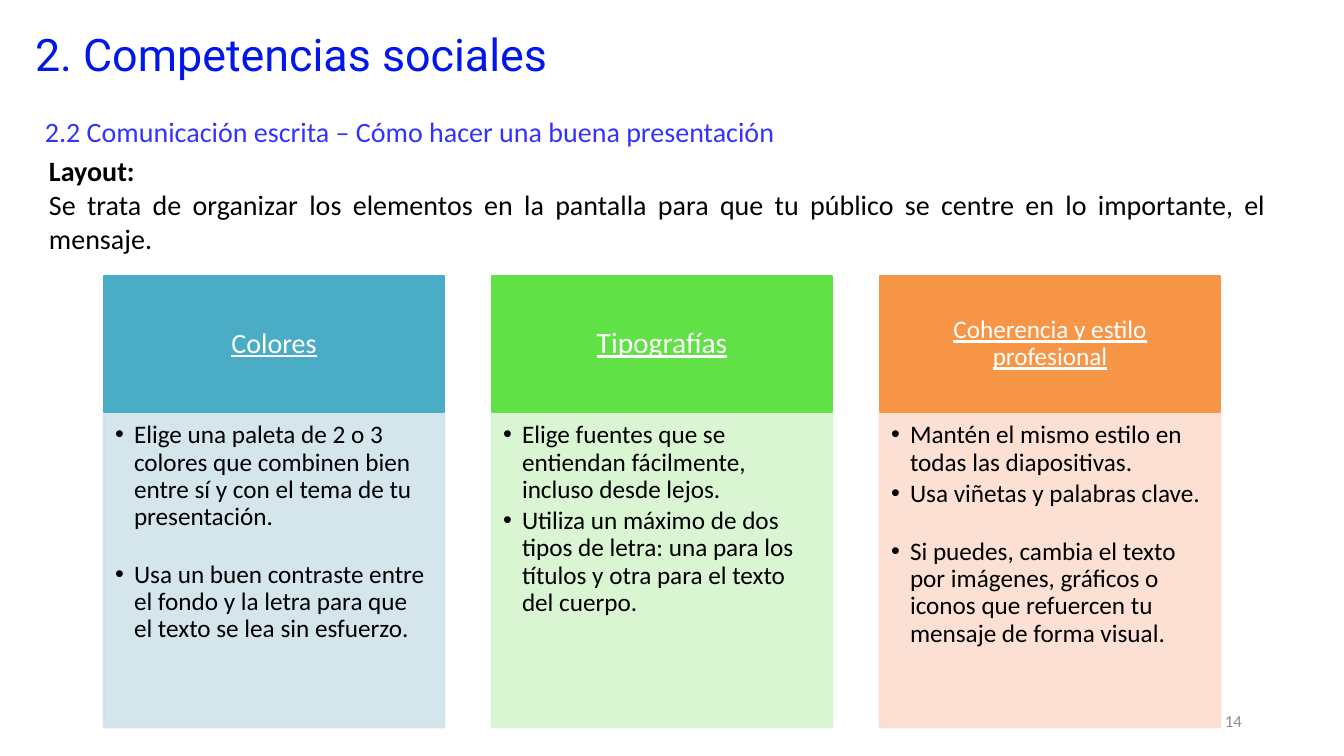
import pptx
import pptx.util
import pptx.dml.color
import pptx.enum.shapes
import pptx.enum.text
import pptx.oxml
import pptx.oxml.ns

PX = 914400 / 100.8
ALIGN = pptx.enum.text.PP_ALIGN
ANCHOR = pptx.enum.text.MSO_ANCHOR


def px(*lengths):
    return [pptx.util.Emu(round(length * PX)) for length in lengths]


def write(shape, *texts, size=20, color="000000", font="Calibri", align=ALIGN.LEFT,
          anchor=ANCHOR.TOP, insets=(10, 5, 10, 5), bold=False, underline=False,
          spacing=1.0, gaps=(), bullet=False):
    frame = shape.text_frame
    frame.word_wrap = True
    frame.auto_size = pptx.enum.text.MSO_AUTO_SIZE.NONE
    frame.vertical_anchor = anchor
    frame.margin_left, frame.margin_top, frame.margin_right, frame.margin_bottom = px(*insets)
    for index, text in enumerate(texts):
        paragraph = frame.paragraphs[0] if index == 0 else frame.add_paragraph()
        paragraph.alignment = align
        paragraph.line_spacing = spacing
        paragraph.space_before = pptx.util.Pt(gaps[index - 1] if index and gaps else 0)
        paragraph.space_after = pptx.util.Pt(0)
        if bullet:
            properties = paragraph._p.get_or_add_pPr()
            indent = px(19)[0]
            properties.set("marL", str(indent))
            properties.set("indent", str(-indent))
            namespace = pptx.oxml.ns.nsdecls("a")
            properties.append(pptx.oxml.parse_xml(f'<a:buFont {namespace} typeface="Arial"/>'))
            properties.append(pptx.oxml.parse_xml(f'<a:buChar {namespace} char="•"/>'))
        run = paragraph.add_run()
        run.text = text
        run.font.name = font
        run.font.size = pptx.util.Pt(size)
        run.font.bold = bold
        run.font.underline = underline
        run.font.color.rgb = pptx.dml.color.RGBColor.from_string(color)


presentation = pptx.Presentation()
presentation.slide_width, presentation.slide_height = px(1344, 756)
slide = presentation.slides.add_slide(presentation.slide_layouts.get_by_name("Comparison"))
shapes = slide.shapes
lists = list(slide.placeholders)[1:]
unused = lists.pop()
unused._element.getparent().remove(unused._element)

# Title and subtitle
title = shapes.title
title.left, title.top, title.width, title.height = px(35, 27, 913, 54)
write(title, "2. Competencias sociales", size=32, color="0017EC", font="Roboto",
      insets=(0, 0, 0, 0))
subtitle = shapes.add_textbox(*px(35, 109, 903, 44))
write(subtitle, "2.2 Comunicación escrita – Cómo hacer una buena presentación", color="3333FF")

# Introduction
introduction = shapes.add_textbox(*px(39, 149, 1237, 112))
write(introduction, "Layout:",
      "Se trata de organizar los elementos en la pantalla para que tu público se centre "
      "en lo importante, el mensaje.", align=ALIGN.JUSTIFY)
introduction.text_frame.paragraphs[0].runs[0].font.bold = True

# Three columns: heading, size, colours, gaps between items, items
columns = [
    ("Colores", 20, "4BACC6", "D0E3EA", [22],
     ["Elige una paleta de 2 o 3 colores que combinen bien entre sí y con el tema de tu "
      "presentación.",
      "Usa un buen contraste entre el fondo y la letra para que el texto se lea sin esfuerzo."]),
    ("Tipografías", 21, "60E146", "D6F4CE", [3],
     ["Elige fuentes que se entiendan fácilmente, incluso desde lejos.",
      "Utiliza un máximo de dos tipos de letra: una para los títulos y otra para el texto "
      "del cuerpo."]),
    ("Coherencia y estilo profesional", 18, "F79646", "FCDDCF", [3, 22],
     ["Mantén el mismo estilo en todas las diapositivas.",
      "Usa viñetas y palabras clave.",
      "Si puedes, cambia el texto por imágenes, gráficos o iconos que refuercen tu mensaje "
      "de forma visual."]),
]
for index, (heading, size, strong, pale, gaps, items) in enumerate(columns):
    left = 104 + 388 * index
    header = shapes.add_shape(pptx.enum.shapes.MSO_SHAPE.RECTANGLE, *px(left, 276, 340, 136))
    header.shadow.inherit = False
    body = lists[index]
    body.left, body.top, body.width, body.height = px(left, 412, 340, 315)
    for card, color in ((header, strong), (body, pale)):
        card.fill.solid()
        card.line.width = pptx.util.Pt(2)
        for fill in (card.fill, card.line.fill):
            fill.solid()
            fill.fore_color.rgb = pptx.dml.color.RGBColor.from_string(color)
    # The lower card is 90 % opaque
    for tint in body._element.spPr.iter(pptx.oxml.ns.qn("a:srgbClr")):
        tint.append(pptx.oxml.parse_xml(f'<a:alpha {pptx.oxml.ns.nsdecls("a")} val="90000"/>'))
    write(header, heading, size=size, color="FFFFFF", underline=True, align=ALIGN.CENTER,
          anchor=ANCHOR.MIDDLE, insets=(16, 9, 16, 9), spacing=0.9)
    write(body, *items, size=18, insets=(11, 10, 14, 16), spacing=0.9, gaps=gaps, bullet=True)

# Slide number
number = shapes.add_textbox(*px(950, 701, 302, 40))
write(number, "14", size=12, color="8C8C8C", align=ALIGN.RIGHT, anchor=ANCHOR.MIDDLE)

presentation.save("out.pptx")
